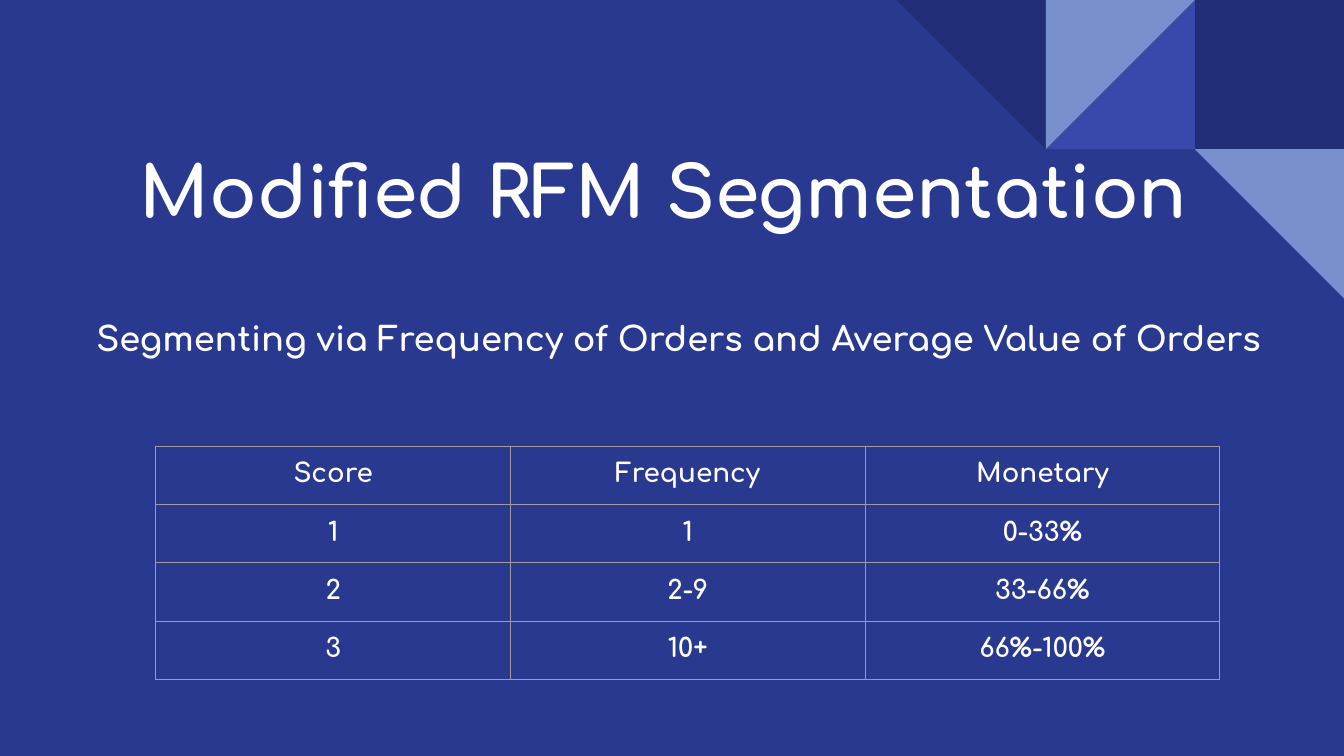
from dataclasses import dataclass

import pptx
import pptx.dml.color
import pptx.enum.shapes
import pptx.enum.text
import pptx.oxml
import pptx.oxml.ns
import pptx.util
from pptx.dml.color import RGBColor
from pptx.util import Inches

BLUE = RGBColor(0x2A, 0x39, 0x90)
NAVY = RGBColor(0x21, 0x2D, 0x74)
INDIGO = RGBColor(0x39, 0x49, 0xAB)
SKY = RGBColor(0x78, 0x90, 0xCD)
WHITE = RGBColor(0xFF, 0xFF, 0xFF)
BORDER = "9E9E9E"

SHAPE = pptx.enum.shapes.MSO_SHAPE
ANCHOR = pptx.enum.text.MSO_ANCHOR
CENTER = pptx.enum.text.PP_ALIGN.CENTER
WIDTH = 10
HEIGHT = WIDTH * 9 / 16
TILE = 1.11
MARGIN = Inches(0.1)


@dataclass
class Tile:
    col: int  # counted leftwards from the right edge
    row: int
    kind: SHAPE
    color: RGBColor
    rotation: int = 0


@dataclass
class Text:
    text: str
    left: float
    top: float
    height: float
    size: int
    anchor: ANCHOR
    spacing: dict


TILES = [
    Tile(1, 0, SHAPE.RECTANGLE, NAVY),
    Tile(2, 0, SHAPE.RIGHT_TRIANGLE, INDIGO, 270),
    Tile(2, 0, SHAPE.RIGHT_TRIANGLE, SKY, 90),
    Tile(3, 0, SHAPE.RIGHT_TRIANGLE, NAVY, 180),
    Tile(1, 1, SHAPE.RIGHT_TRIANGLE, SKY, 180),
]

TEXTS = [
    Text("Modified RFM Segmentation", 0.28, 0.74, 1.09, 38, ANCHOR.BOTTOM, {}),
    Text("Segmenting via Frequency of Orders and Average Value of Orders",
         0.39, 2.22, 0.71, 18, ANCHOR.TOP,
         {"line_spacing": 1.15, "space_after": pptx.util.Pt(16)}),
]

SCORES = [
    ("Score", "Frequency", "Monetary"),
    ("1", "1", "0-33%"),
    ("2", "2-9", "33-66%"),
    ("3", "10+", "66%-100%"),
]


def add_tile(s: pptx.slide.Slide, tile: Tile) -> None:
    sp = s.shapes.add_shape(tile.kind, Inches(WIDTH - tile.col * TILE),
                            Inches(tile.row * TILE), Inches(TILE), Inches(TILE))
    sp.rotation = tile.rotation
    sp.shadow.inherit = False
    sp.fill.solid()
    sp.fill.fore_color.rgb = tile.color
    sp.line.fill.background()


def set_margins(obj) -> None:
    for side in ("left", "right", "top", "bottom"):
        setattr(obj, f"margin_{side}", MARGIN)


def write(tf, text: str, size: int, spacing: dict) -> None:
    p = tf.paragraphs[0]
    for name, value in {"alignment": CENTER, **spacing}.items():
        setattr(p, name, value)
    r = p.add_run()
    r.text = text
    font = {"name": "Comfortaa", "size": pptx.util.Pt(size), "bold": True}
    for name, value in font.items():
        setattr(r.font, name, value)
    r.font.color.rgb = WHITE


def add_text(s: pptx.slide.Slide, item: Text) -> None:
    sp = s.shapes.add_textbox(Inches(item.left), Inches(item.top),
                              Inches(9.32), Inches(item.height))
    tf = sp.text_frame
    tf.word_wrap = True
    tf.vertical_anchor = item.anchor
    set_margins(tf)
    write(tf, item.text, item.size, item.spacing)


def add_borders(cell) -> None:
    """Draw all four sides; the lines must come before the cell's fill."""
    tc_pr = cell._tc.get_or_add_tcPr()
    for i, side in enumerate(("lnL", "lnR", "lnT", "lnB")):
        tc_pr.insert(i, pptx.oxml.parse_xml(
            f'<a:{side} {pptx.oxml.ns.nsdecls("a")} w="{pptx.util.Pt(0.75)}">'
            f'<a:solidFill><a:srgbClr val="{BORDER}"/></a:solidFill></a:{side}>'))


def add_score_table(s: pptx.slide.Slide) -> None:
    col_width, row_height = 190 / 72, 30 / 72
    rows, cols = len(SCORES), len(SCORES[0])
    table = s.shapes.add_table(rows, cols, Inches(1.16), Inches(3.32),
                               Inches(cols * col_width),
                               Inches(rows * row_height)).table
    table.first_row = table.horz_banding = False
    for i, values in enumerate(SCORES):
        for j, value in enumerate(values):
            cell = table.cell(i, j)
            cell.fill.background()
            set_margins(cell)
            write(cell.text_frame, value, 14, {})
            add_borders(cell)


def main() -> None:
    prs = pptx.Presentation()
    prs.slide_width, prs.slide_height = Inches(WIDTH), Inches(HEIGHT)
    s = prs.slides.add_slide(prs.slide_layouts[6])
    s.background.fill.solid()
    s.background.fill.fore_color.rgb = BLUE
    for tile in TILES:
        add_tile(s, tile)
    for item in TEXTS:
        add_text(s, item)
    add_score_table(s)
    prs.save("out.pptx")


if __name__ == "__main__":
    main()
